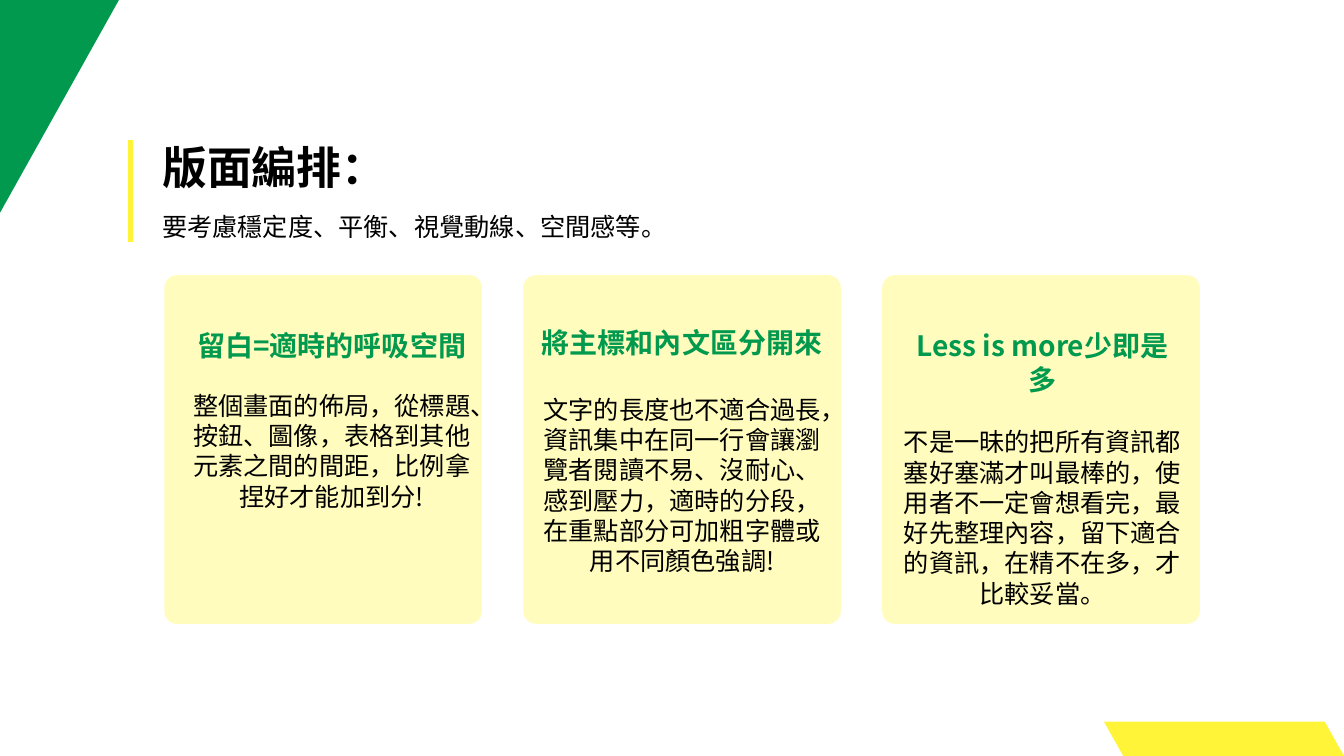
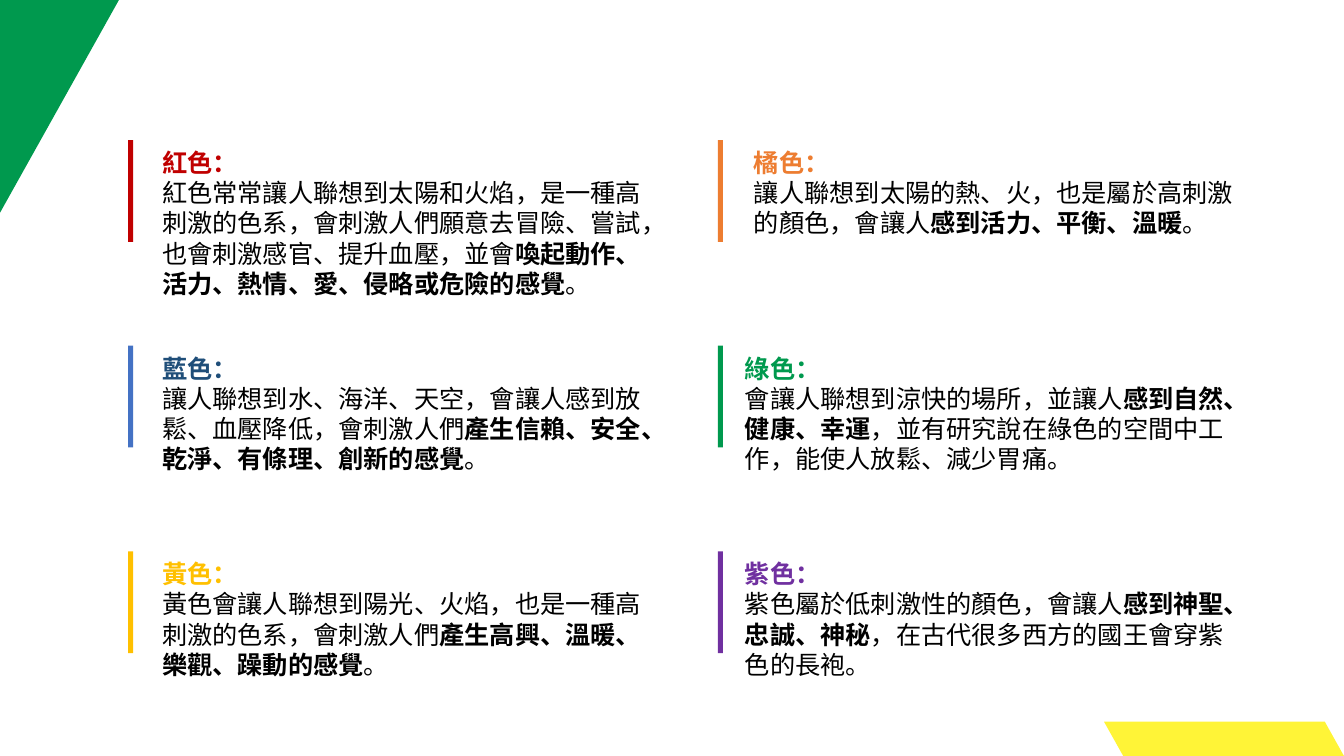
import pptx
import pptx.util
import pptx.dml.color
import pptx.enum.shapes
import pptx.enum.text
import pptx.oxml.ns
import lxml.etree
from pptx.util import Inches

RGBColor = pptx.dml.color.RGBColor
Shape = pptx.enum.shapes.MSO_SHAPE
Align = pptx.enum.text.PP_ALIGN

GREEN = RGBColor(0x00, 0x99, 0x4E)
YELLOW = RGBColor(0xFF, 0xF4, 0x37)
CREAM = RGBColor(0xFF, 0xFC, 0xBD)
BLACK = RGBColor(0x00, 0x00, 0x00)
RED = RGBColor(0xC0, 0x00, 0x00)
BLUE = RGBColor(0x44, 0x72, 0xC4)
NAVY = RGBColor(0x1F, 0x4E, 0x79)
GOLD = RGBColor(0xFF, 0xC0, 0x00)
ORANGE = RGBColor(0xED, 0x7D, 0x31)
PURPLE = RGBColor(0x70, 0x30, 0xA0)

FONT = "Noto Sans CJK SC"
LINE_HEIGHT = 1.2
BODY_SIZE = 18
TITLE_ONLY, BLANK = 5, 6


class Deck:
    def __init__(self):
        self.presentation = pptx.Presentation()
        self.presentation.slide_width = Inches(13.33)
        self.presentation.slide_height = Inches(7.5)
        self.slide = None

    def add_slide(self, layout):
        layouts = self.presentation.slide_layouts
        self.slide = self.presentation.slides.add_slide(layouts[layout])
        self.corner()
        self.footer()

    def paint(self, shape, color):
        shape.shadow.inherit = False
        shape.fill.solid()
        shape.fill.fore_color.rgb = color
        shape.line.fill.background()

    def shape(self, kind, left, top, width, height, color, adjustment=None):
        shape = self.slide.shapes.add_shape(
            kind, Inches(left), Inches(top), Inches(width), Inches(height))
        if adjustment is not None:
            shape.adjustments[0] = adjustment
        self.paint(shape, color)
        return shape

    def corner(self):
        outline = self.slide.shapes.build_freeform(Inches(-0.02), Inches(2.12))
        edges = [(0, 0), (1.18, 0), (-0.01, 2.13)]
        outline.add_line_segments([(Inches(x), Inches(y)) for x, y in edges])
        self.paint(outline.convert_to_shape(), GREEN)

    def footer(self):
        band = self.shape(Shape.PARALLELOGRAM, 10.95, 7.16, 2.38, 0.34, YELLOW, 0.56)
        band._element.spPr.xfrm.set("flipH", "1")

    def bar(self, left, top, color):
        self.shape(Shape.RECTANGLE, left, top, 0.05, 1.01, color)

    def card(self, left):
        self.shape(Shape.ROUNDED_RECTANGLE, left, 2.73, 3.15, 3.46, CREAM, 0.04)

    def frame(self, box, inset=0.07):
        frame = box.text_frame
        frame.word_wrap = True
        frame.auto_size = pptx.enum.text.MSO_AUTO_SIZE.NONE
        frame.vertical_anchor = pptx.enum.text.MSO_ANCHOR.TOP
        frame.margin_left = frame.margin_right = Inches(0.1)
        frame.margin_top, frame.margin_bottom = Inches(inset), Inches(0.05)
        return frame

    def text_box(self, left, top, width, height):
        return self.frame(self.slide.shapes.add_textbox(
            Inches(left), Inches(top), Inches(width), Inches(height)))

    def style_run(self, run, size, color, bold):
        run.font.size = pptx.util.Pt(size)
        run.font.bold = bold
        run.font.color.rgb = color
        run.font.name = FONT
        east_asian = lxml.etree.SubElement(
            run.font._element, pptx.oxml.ns.qn("a:ea"))
        east_asian.set("typeface", FONT)

    def set_paragraph(self, paragraph, text, size=BODY_SIZE, color=BLACK,
                      bold=False, align=Align.LEFT, before=0):
        paragraph.text = text
        paragraph.alignment = align
        paragraph.line_spacing = pptx.util.Pt(size * LINE_HEIGHT)
        paragraph.space_before = pptx.util.Pt(before)
        for run in paragraph.runs:
            self.style_run(run, size, color, bold)

    def title(self, text):
        title = self.slide.shapes.title
        title.left, title.top = Inches(1.51), Inches(1.3)
        title.width, title.height = Inches(10.4), Inches(0.68)
        frame = self.frame(title, 0.09)
        self.set_paragraph(frame.paragraphs[0], text, 32, bold=True)

    def subtitle(self, text):
        frame = self.text_box(1.51, 2.03, 10.4, 0.41)
        self.set_paragraph(frame.paragraphs[0], text)

    def card_text(self, left, top, width, heading, body, gap):
        frame = self.text_box(left, top, width, 2.6)
        self.set_paragraph(frame.paragraphs[0], heading, 20, GREEN, True, Align.CENTER)
        self.set_paragraph(frame.add_paragraph(), body, align=Align.CENTER, before=gap)

    def color_note(self, left, top, width, color, heading, plain, strong, ending):
        frame = self.text_box(left, top, width, 1.62)
        self.set_paragraph(frame.paragraphs[0], heading, color=color, bold=True)
        meaning = frame.add_paragraph()
        self.set_paragraph(meaning, plain)
        for text, bold in ((strong, True), (ending, False)):
            run = meaning.add_run()
            run.text = text
            self.style_run(run, BODY_SIZE, BLACK, bold)


def layout_slide(deck):
    deck.add_slide(TITLE_ONLY)
    deck.bar(1.27, 1.39, YELLOW)
    deck.title("版面編排：")
    deck.subtitle("要考慮穩定度、平衡、視覺動線、空間感等。")
    principles = [
        (1.81, 3.19, 2.96, "留白=適時的呼吸空間",
         "整個畫面的佈局，從標題、按鈕、圖像，表格到其他元素之間的間距，"
         "比例拿捏好才能加到分!", 20),
        (5.24, 3.16, 3.05, "將主標和內文區分開來",
         "文字的長度也不適合過長，資訊集中在同一行會讓瀏覽者閱讀不易、沒耐心、"
         "感到壓力，適時的分段，在重點部分可加粗字體或用不同顏色強調!", 25),
        (8.86, 3.19, 2.96, "Less is more少即是多",
         "不是一昧的把所有資訊都塞好塞滿才叫最棒的，使用者不一定會想看完，"
         "最好先整理內容，留下適合的資訊，在精不在多，才比較妥當。", 22),
    ]
    for index, principle in enumerate(principles):
        deck.card(1.63 + 3.56 * index)
        deck.card_text(*principle)


def color_slide(deck):
    deck.add_slide(BLANK)
    left_column = [
        (1.51, RED, RED, "紅色：",
         "紅色常常讓人聯想到太陽和火焰，是一種高刺激的色系，"
         "會刺激人們願意去冒險、嘗試，也會刺激感官、提升血壓，並會",
         "喚起動作、活力、熱情、愛、侵略或危險的感覺", "。"),
        (1.51, BLUE, NAVY, "藍色：",
         "讓人聯想到水、海洋、天空，會讓人感到放鬆、血壓降低，會刺激人們",
         "產生信賴、安全、乾淨、有條理、創新的感覺", "。"),
        (1.51, GOLD, GOLD, "黃色：",
         "黃色會讓人聯想到陽光、火焰，也是一種高刺激的色系，會刺激人們",
         "產生高興、溫暖、樂觀、躁動的感覺", "。"),
    ]
    right_column = [
        (7.38, ORANGE, ORANGE, "橘色：",
         "讓人聯想到太陽的熱、火，也是屬於高刺激的顏色，會讓人",
         "感到活力、平衡、溫暖", "。"),
        (7.29, GREEN, GREEN, "綠色：",
         "會讓人聯想到涼快的場所，並讓人", "感到自然、健康、幸運",
         "，並有研究說在綠色的空間中工作，能使人放鬆、減少胃痛。"),
        (7.29, PURPLE, PURPLE, "紫色：",
         "紫色屬於低刺激性的顏色，會讓人", "感到神聖、忠誠、神秘",
         "，在古代很多西方的國王會穿紫色的長袍。"),
    ]
    for bar_left, right, column in ((1.27, 6.48, left_column),
                                    (7.12, 12.35, right_column)):
        for row, (left, bar_color, color, *wording) in enumerate(column):
            top = 1.39 + 2.04 * row
            deck.bar(bar_left, top, bar_color)
            deck.color_note(left, top, right - left, color, *wording)


def main():
    deck = Deck()
    layout_slide(deck)
    color_slide(deck)
    deck.presentation.save("out.pptx")


if __name__ == "__main__":
    main()
